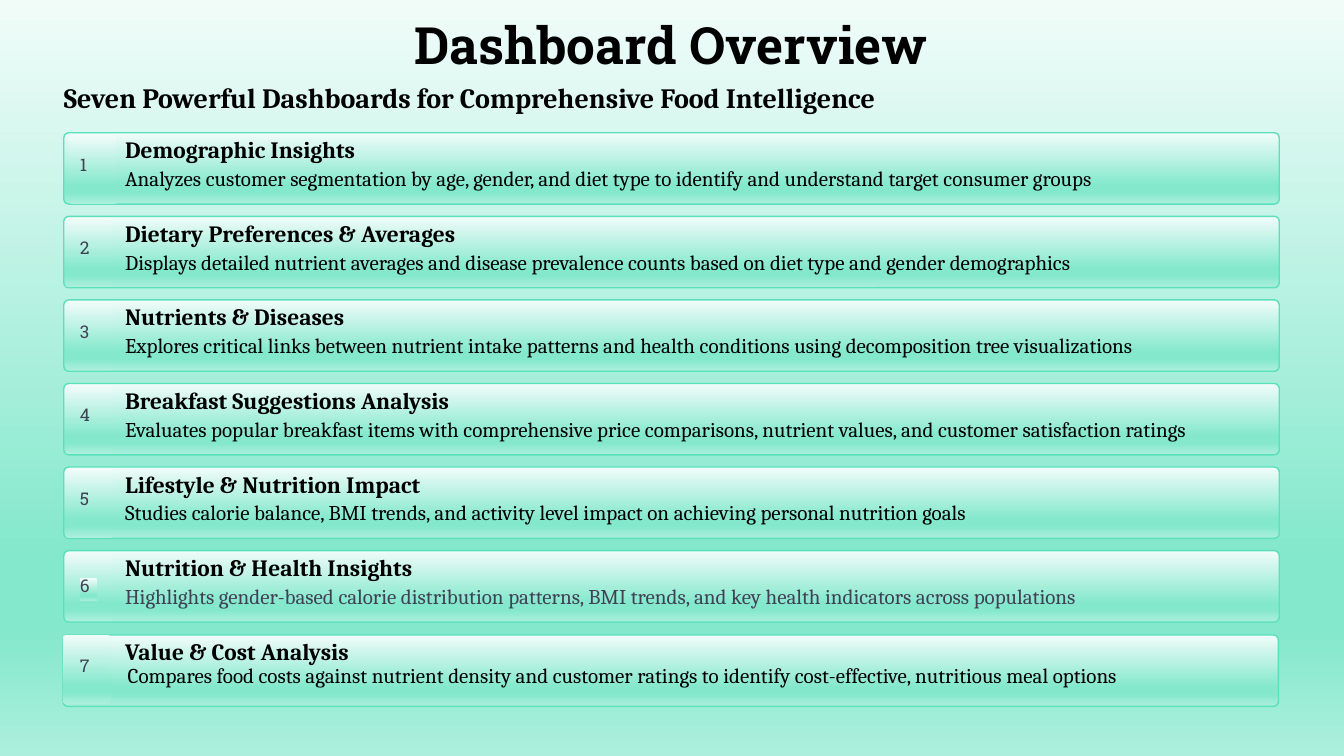
"""Build the Dashboard Overview slide with seven numbered dashboard cards."""
from dataclasses import dataclass

from lxml import etree
from pptx import Presentation
from pptx.dml.color import RGBColor
from pptx.enum.shapes import MSO_SHAPE
from pptx.enum.text import MSO_ANCHOR, MSO_AUTO_SIZE, PP_ALIGN
from pptx.oxml.ns import qn
from pptx.util import Inches, Pt

ROUNDED, RECTANGLE = MSO_SHAPE.ROUNDED_RECTANGLE, MSO_SHAPE.RECTANGLE
LEFT, CENTER = PP_ALIGN.LEFT, PP_ALIGN.CENTER
TOP, NO_AUTOFIT = MSO_ANCHOR.TOP, MSO_AUTO_SIZE.NONE
COLUMNS, ROWS = 16, 9


@dataclass(frozen=True)
class TextStyle:
    font: str
    size: float
    leading: float
    color: str = "000000"
    bold: bool = False


@dataclass(frozen=True)
class Theme:
    mint = ((0, "F1FCF9"), (74, "83E8CC"), (83, "83E8CC"), (100, "ACEFDD"))
    border = "5AE0BB"
    border_width = 1.2
    corner = 0.07
    title = TextStyle("Roboto Slab", 44, 31.5, bold=True)
    subtitle = TextStyle("Cambria", 24, 19, bold=True)
    number = TextStyle("Roboto Slab", 15, 15, "404155")
    heading = TextStyle("Cambria", 20, 15.5, bold=True)
    body = TextStyle("Cambria", 18, 16)
    muted_body = TextStyle("Cambria", 18, 16, "404155")


@dataclass(frozen=True)
class Dashboard:
    heading: str
    summary: str
    heading_width: float
    style: TextStyle = Theme.body
    card_shift: tuple = (0, 0)
    badge_shift: tuple = (0.02, 0.02)
    summary_shift: tuple = (0, 0)
    number_tile: bool = False


class DashboardSlide:
    def __init__(self, deck, theme):
        self.theme = theme
        self.column = deck.slide_width / COLUMNS
        self.row = deck.slide_height / ROWS
        self.slide = deck.slides.add_slide(deck.slide_layouts[6])
        self.shapes = self.slide.shapes
        self.gradient(self.slide.background.fill, self.slide)

    def place(self, left, top, width, height):
        return (round(left * self.column), round(top * self.row),
                round(width * self.column), round(height * self.row))

    def gradient(self, fill, owner):
        fill.gradient()
        fill.gradient_angle = 270
        stops = owner.element.find(".//" + qn("a:gsLst"))
        for stop in list(stops):
            stops.remove(stop)
        for percent, color in self.theme.mint:
            stop = etree.SubElement(stops, qn("a:gs"), pos=str(percent * 1000))
            etree.SubElement(stop, qn("a:srgbClr"), val=color)

    def panel(self, area, kind=ROUNDED, border=False):
        panel = self.shapes.add_shape(kind, *self.place(*area))
        panel.shadow.inherit = False
        self.gradient(panel.fill, panel)
        if kind == ROUNDED:
            panel.adjustments[0] = self.theme.corner
        if border:
            panel.line.color.rgb = RGBColor.from_string(self.theme.border)
            panel.line.width = Pt(self.theme.border_width)
        else:
            panel.line.fill.background()
        return panel

    def text(self, area, words, style, align=LEFT, tile=False):
        if tile:
            holder = self.panel(area, RECTANGLE)
        else:
            holder = self.shapes.add_textbox(*self.place(*area))
        frame = holder.text_frame
        frame.auto_size = NO_AUTOFIT
        frame.word_wrap = False
        frame.vertical_anchor = TOP
        frame.margin_left = frame.margin_right = 0
        frame.margin_top = frame.margin_bottom = 0
        paragraph = frame.paragraphs[0]
        paragraph.text = words
        paragraph.alignment = align
        paragraph.line_spacing = Pt(style.leading)
        font = paragraph.font
        font.name, font.size, font.bold = style.font, Pt(style.size), style.bold
        font.color.rgb = RGBColor.from_string(style.color)

    def card(self, number, top, dashboard):
        card_x, card_y = dashboard.card_shift
        badge_x, badge_y = dashboard.badge_shift
        summary_x, summary_y = dashboard.summary_shift
        left = 0.76
        self.panel((left + card_x, top + card_y, 14.47, 0.85), border=True)
        self.panel((left + badge_x, top + badge_y, 0.57, 0.82))
        number_top = top + (0.33 if dashboard.number_tile else 0.29)
        self.text((0.95, number_top, 0.2, 0.27), str(number),
                  self.theme.number, tile=dashboard.number_tile)
        self.text((1.49, top + 0.15, dashboard.heading_width, 0.22),
                  dashboard.heading, self.theme.heading)
        self.text((1.49 + summary_x, top + 0.47 + summary_y, 13.59, 0.23),
                  dashboard.summary, dashboard.style)


DASHBOARDS = (
    Dashboard("Demographic Insights",
              "Analyzes customer segmentation by age, gender, and diet type "
              "to identify and understand target consumer groups",
              1.86, badge_shift=(0.06, 0.03)),
    Dashboard("Dietary Preferences & Averages",
              "Displays detailed nutrient averages and disease prevalence "
              "counts based on diet type and gender demographics", 2.61),
    Dashboard("Nutrients & Diseases",
              "Explores critical links between nutrient intake patterns and "
              "health conditions using decomposition tree visualizations", 1.77),
    Dashboard("Breakfast Suggestions Analysis",
              "Evaluates popular breakfast items with comprehensive price "
              "comparisons, nutrient values, and customer satisfaction ratings",
              2.63),
    Dashboard("Lifestyle & Nutrition Impact",
              "Studies calorie balance, BMI trends, and activity level impact "
              "on achieving personal nutrition goals", 2.33),
    Dashboard("Nutrition & Health Insights",
              "Highlights gender-based calorie distribution patterns, BMI "
              "trends, and key health indicators across populations",
              2.28, style=Theme.muted_body, number_tile=True),
    Dashboard("Value & Cost Analysis",
              "Compares food costs against nutrient density and customer "
              "ratings to identify cost-effective, nutritious meal options",
              1.81, card_shift=(-0.01, 0.01), badge_shift=(-0.01, 0.01),
              summary_shift=(0.03, -0.05)),
)


def main():
    deck = Presentation()
    deck.slide_width, deck.slide_height = Inches(16), Inches(9)
    theme = Theme()
    overview = DashboardSlide(deck, theme)
    overview.text((6.22, 0.45, 3.55, 0.44), "Dashboard Overview",
                  theme.title, CENTER)
    overview.text((0.76, 1.1, 6.48, 0.27),
                  "Seven Powerful Dashboards for Comprehensive Food Intelligence",
                  theme.subtitle)
    first_top, last_top = 1.58, 7.55
    pitch = (last_top - first_top) / (len(DASHBOARDS) - 1)
    for index, dashboard in enumerate(DASHBOARDS):
        overview.card(index + 1, first_top + index * pitch, dashboard)
    deck.save("out.pptx")


if __name__ == "__main__":
    main()
